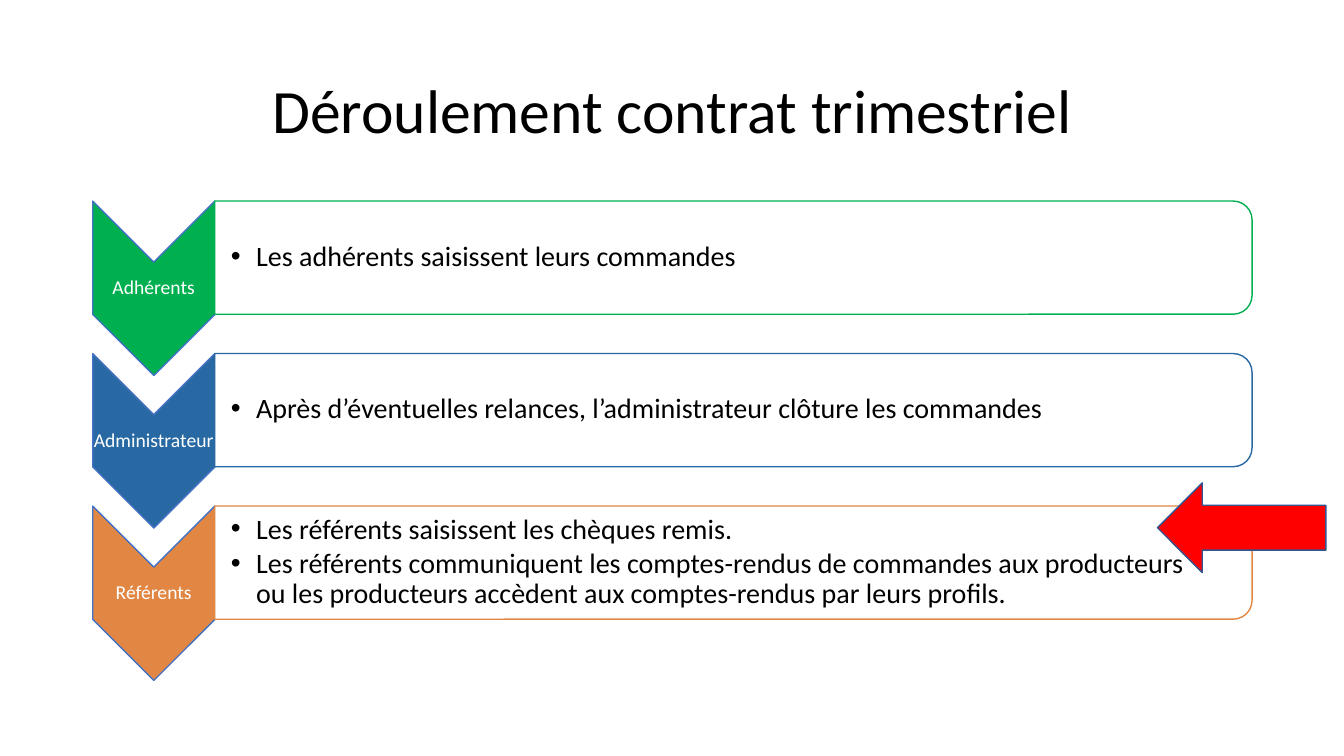
import dataclasses
import typing

import lxml.etree
import pptx
import pptx.dml.color
import pptx.enum.shapes
import pptx.enum.text
import pptx.oxml.ns
import pptx.util

SHAPE = pptx.enum.shapes.MSO_SHAPE
ALIGN = pptx.enum.text.PP_ALIGN
qn = pptx.oxml.ns.qn


@dataclasses.dataclass(frozen=True)
class Theme:
    font: str = "Calibri"
    ink: str = "000000"
    paper: str = "FFFFFF"
    chevron_line: str = "4472C4"
    arrow_fill: str = "FF0000"
    arrow_line: str = "325491"
    title_size: int = 44
    list_size: int = 20
    label_size: int = 14


@dataclasses.dataclass(frozen=True)
class Area:
    """Left, top, width and height in percent of the slide."""
    left: float
    top: float
    width: float
    height: float

    def down(self, share: float) -> "Area":
        return dataclasses.replace(self, top=self.top + share)

    def frame(self) -> dict[str, int]:
        return {
            "left": int(SLIDE_WIDTH * self.left / 100),
            "top": int(SLIDE_HEIGHT * self.top / 100),
            "width": int(SLIDE_WIDTH * self.width / 100),
            "height": int(SLIDE_HEIGHT * self.height / 100),
        }


@dataclasses.dataclass(frozen=True)
class Step:
    role: str
    color: str
    actions: tuple[str, ...]


THEME = Theme()
SLIDE_WIDTH = pptx.util.Inches(13.33)
SLIDE_HEIGHT = pptx.util.Inches(7.5)

# Places of the title, the arrow and the first step
TITLE = Area(6.9, 5.33, 86.27, 19.33)
ARROW = Area(86.12, 63.87, 12.53, 11.87)
CHEVRON = Area(6.9, 26.6, 9.08, 23.07)
LABEL = Area(6.9, 34.67, 9.08, 6.93)
BAND = Area(15.98, 26.6, 77.18, 14.97)
ACTIONS = Area(15.98, 27.3, 76.8, 13.47)
STEP_PITCH = 20.17

STEPS = (
    Step("Adhérents", "00B050", ("Les adhérents saisissent leurs commandes",)),
    Step("Administrateur", "2969A3",
         ("Après d’éventuelles relances, l’administrateur clôture les commandes",)),
    Step("Référents", "E18743",
         ("Les référents saisissent les chèques remis.",
          "Les référents communiquent les comptes-rendus de commandes aux producteurs \v"
          "ou les producteurs accèdent aux comptes-rendus par leurs profils.")),
)


def apply(target: typing.Any, values: dict[str, typing.Any]) -> None:
    for name, value in values.items():
        setattr(target, name, value)


def rgb(color: str) -> pptx.dml.color.RGBColor:
    return pptx.dml.color.RGBColor.from_string(color)


def write(box: typing.Any, lines: tuple[str, ...], size: int, color: str,
          para_format: dict[str, typing.Any], inset: float = 0) -> None:
    """Fill a text box or placeholder, one paragraph a line."""
    apply(box.text_frame, {
        "text": "\n".join(lines),
        "word_wrap": True,
        "auto_size": pptx.enum.text.MSO_AUTO_SIZE.NONE,
        "vertical_anchor": pptx.enum.text.MSO_ANCHOR.MIDDLE,
        "margin_left": pptx.util.Inches(inset),
        "margin_right": 0, "margin_top": 0, "margin_bottom": 0,
    })
    for para in box.text_frame.paragraphs:
        apply(para, {"line_spacing": 0.9, "space_before": pptx.util.Pt(0), **para_format})
        for span in para.runs:
            apply(span.font, {"name": THEME.font, "size": pptx.util.Pt(size), "bold": False})
            span.font.color.rgb = rgb(color)


def add_bullets(box: typing.Any) -> None:
    for para in box.text_frame.paragraphs:
        props = para._p.get_or_add_pPr()
        props.set("marL", str(pptx.util.Inches(0.25)))
        props.set("indent", str(pptx.util.Inches(-0.25)))
        lxml.etree.SubElement(props, qn("a:buFont"), typeface="Arial")
        lxml.etree.SubElement(props, qn("a:buChar"), char="•")


def add_block(page: typing.Any, kind: SHAPE, area: Area, fill: str, line: str,
              turned: bool = False) -> typing.Any:
    """Draw a shape; a turned one fills its area after a quarter turn."""
    frame = area.frame()
    if turned:
        shift = (frame["width"] - frame["height"]) // 2
        frame = {"left": frame["left"] + shift, "top": frame["top"] - shift,
                 "width": frame["height"], "height": frame["width"]}
    block = page.shapes.add_shape(kind, **frame)
    block.rotation = 90 if turned else 0
    block.shadow.inherit = False
    block.fill.solid()
    block.fill.fore_color.rgb = rgb(fill)
    block.line.color.rgb = rgb(line)
    block.line.width = pptx.util.Pt(1)
    return block


def add_step(page: typing.Any, step: Step, body: typing.Any, offset: float) -> None:
    # Chevron and role
    add_block(page, SHAPE.CHEVRON, CHEVRON.down(offset), step.color, THEME.chevron_line, True)
    label = page.shapes.add_textbox(**LABEL.down(offset).frame())
    write(label, (step.role,), THEME.label_size, THEME.paper, {"alignment": ALIGN.CENTER})

    # Slightly transparent band
    band = add_block(page, SHAPE.ROUND_2_SAME_RECTANGLE, BAND.down(offset),
                     THEME.paper, step.color, True)
    paint = band._element.spPr.find(qn("a:solidFill"))[0]
    lxml.etree.SubElement(paint, qn("a:alpha"), val="90000")

    # List of actions, in front of the band
    apply(body, ACTIONS.down(offset).frame())
    write(body, step.actions, THEME.list_size, THEME.ink,
          {"level": 1, "alignment": ALIGN.LEFT, "space_after": pptx.util.Pt(3)}, inset=0.16)
    add_bullets(body)
    page.shapes._spTree.append(body._element)


def main() -> None:
    deck = pptx.Presentation()
    apply(deck, {"slide_width": SLIDE_WIDTH, "slide_height": SLIDE_HEIGHT})
    page = deck.slides.add_slide(deck.slide_layouts.get_by_name("Comparison"))
    title, *bodies = page.placeholders

    # Title
    apply(title, TITLE.frame())
    write(title, ("Déroulement contrat trimestriel",), THEME.title_size, THEME.ink,
          {"alignment": ALIGN.CENTER})

    # Steps, then the unused placeholder goes
    for index, (step, body) in enumerate(zip(STEPS, bodies)):
        add_step(page, step, body, index * STEP_PITCH)
    for spare in bodies[len(STEPS):]:
        spare._element.getparent().remove(spare._element)

    # Arrow to the current step
    add_block(page, SHAPE.LEFT_ARROW, ARROW, THEME.arrow_fill, THEME.arrow_line)

    deck.save("out.pptx")


if __name__ == "__main__":
    main()
